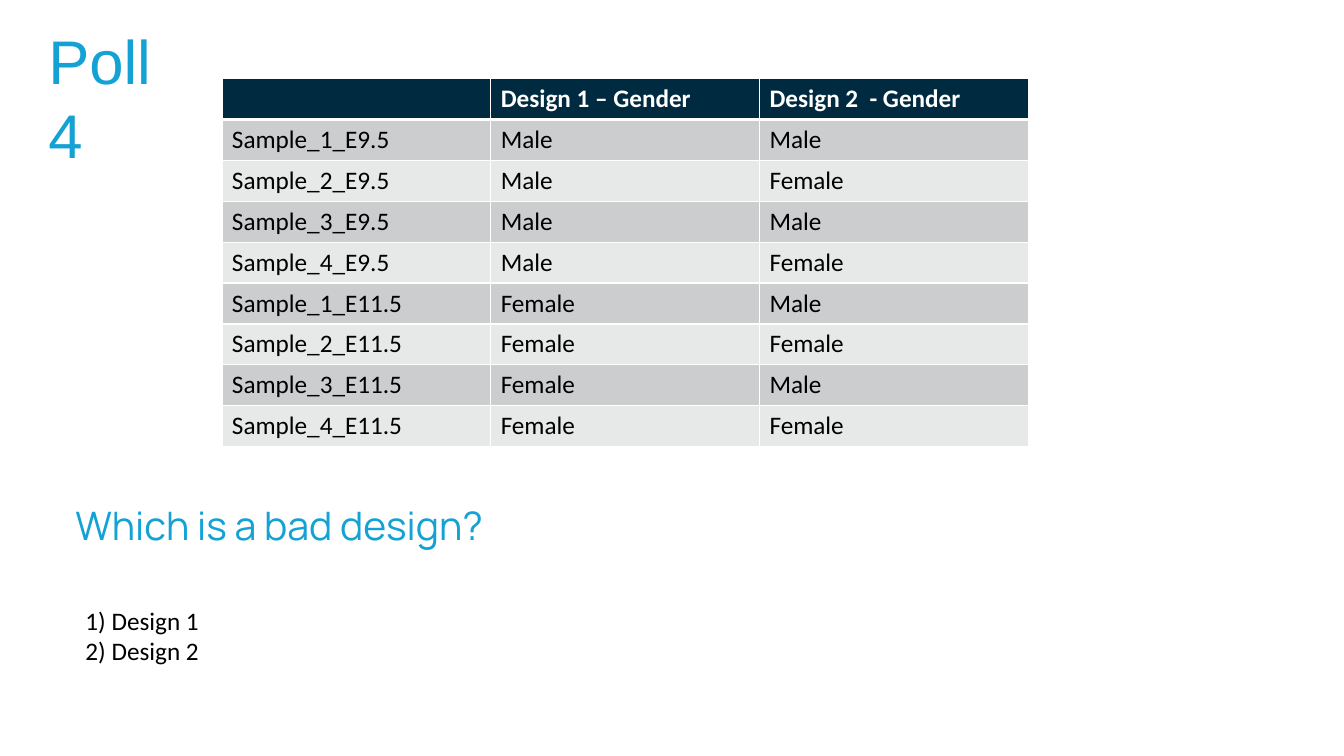
from lxml import etree
from pptx import Presentation
from pptx.dml.color import RGBColor
from pptx.enum.text import MSO_AUTO_SIZE as AutoSize
from pptx.oxml.ns import qn
from pptx.util import Pt

WHITE, BLACK, BLUE, NAVY = "FFFFFF", "000000", "14A1D4", "002A40"
BANDS = ["CCCDCF", "E7E8E8"]
HEADINGS = ["", "Design 1 – Gender", "Design 2  - Gender"]
STAGES = ["E9.5", "E11.5"]
GENDERS = ["Male", "Female"]
SAMPLES_PER_STAGE = 4


def rgb(value):
    return RGBColor.from_string(value)


def style(paragraph, font_name, size, color, bold=False):
    font = paragraph.font
    font.name, font.size, font.bold = font_name, Pt(size), bold
    font.color.rgb = rgb(color)


def add_text(slide, box, lines, font_name, size, color, wrap=True, grow=False, spacing=None):
    frame = slide.shapes.add_textbox(*map(Pt, box)).text_frame
    frame.word_wrap = wrap
    if grow:
        frame.auto_size = AutoSize.SHAPE_TO_FIT_TEXT
    frame.text = "\n".join(lines)
    for paragraph in frame.paragraphs:
        paragraph.line_spacing = spacing
        style(paragraph, font_name, size, color)


def add_borders(cell, bottom_width):
    # Borders must precede the fill in the cell properties
    properties = cell._tc.get_or_add_tcPr()
    widths = {"a:lnL": 1, "a:lnR": 1, "a:lnT": 1, "a:lnB": bottom_width}
    for position, (side, width) in enumerate(widths.items()):
        border = etree.Element(qn(side), w=str(Pt(width)))
        fill = etree.SubElement(border, qn("a:solidFill"))
        etree.SubElement(fill, qn("a:srgbClr"), val=WHITE)
        properties.insert(position, border)


def fill_cell(cell, text, fill, color, header):
    cell.fill.solid()
    cell.fill.fore_color.rgb = rgb(fill)
    cell.text = text
    style(cell.text_frame.paragraphs[0], "Calibri", 18, color, header)
    add_borders(cell, 3 if header else 1)


def design_rows():
    # Design 1 changes gender with the stage, design 2 alternates it
    return [
        [f"Sample_{number + 1}_{stage}", GENDERS[stage_index], GENDERS[number % 2]]
        for stage_index, stage in enumerate(STAGES)
        for number in range(SAMPLES_PER_STAGE)
    ]


def add_design_table(slide, left, top, column_width, row_height):
    rows = [HEADINGS] + design_rows()
    designs = slide.shapes.add_table(
        len(rows), len(HEADINGS), Pt(left), Pt(top),
        Pt(column_width * len(HEADINGS)), Pt(row_height * len(rows))).table
    for column in designs.columns:
        column.width = Pt(column_width)
    for row_index, row in enumerate(rows):
        designs.rows[row_index].height = Pt(row_height)
        header = row_index == 0
        fill = NAVY if header else BANDS[(row_index - 1) % 2]
        for column_index, text in enumerate(row):
            fill_cell(designs.cell(row_index, column_index), text, fill,
                      WHITE if header else BLACK, header)


def main():
    deck = Presentation()
    deck.slide_width, deck.slide_height = Pt(960), Pt(540)
    slide = deck.slides.add_slide(deck.slide_layouts[6])

    # Sample designs
    add_design_table(slide, 158.5, 56.2, 192, 29.2)

    # Question
    add_text(slide, (46.8, 358.5, 576, 68.4), ["Which is a bad design?"],
             "Manrope", 28, BLUE, spacing=0.9)

    # Poll title
    add_text(slide, (27.4, 13, 121, 60.5), ["Poll 4"], "Arial", 44, BLUE, grow=True)

    # Answers
    add_text(slide, (54, 429, 96.5, 51), ["1) Design 1", "2) Design 2"],
             "Calibri", 18, BLACK, wrap=False, grow=True)

    deck.save("out.pptx")


if __name__ == "__main__":
    main()
